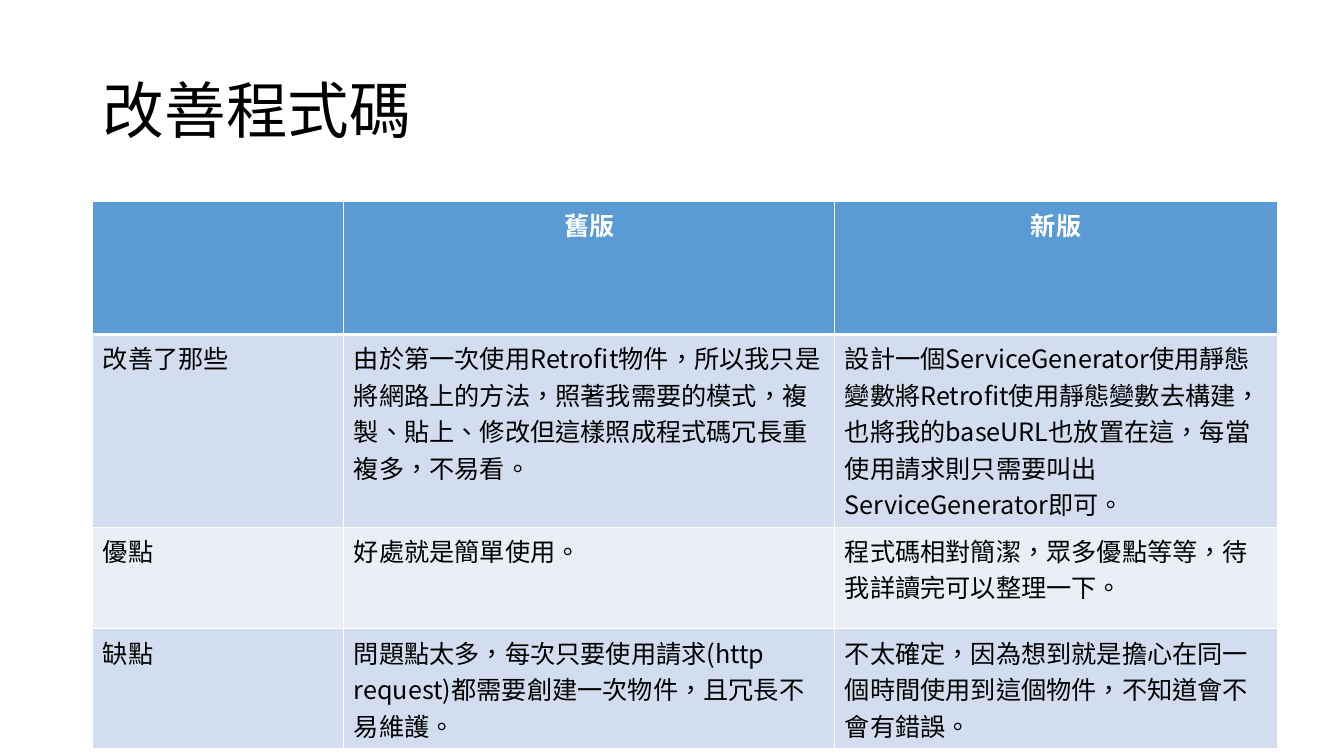
"""Build the slide that compares the old and new versions of the code."""
from dataclasses import dataclass

from lxml import etree
from pptx import Presentation
from pptx import util as u
from pptx.dml.color import RGBColor
from pptx.enum import text
from pptx.oxml.ns import qn

PX = 9144
FONT = "Noto Sans CJK SC"
COLORS = {
    "header": "5B9BD5",
    "band": "D2DEEF",
    "light": "EAEFF7",
    "white": "FFFFFF",
    "black": "000000",
}
COLUMN_WIDTHS = (249, 487, 439)


@dataclass(frozen=True)
class Row:
    """One row of the comparison table."""

    height: int
    fill: str
    entries: tuple[str, str, str]
    header: bool = False
    top: int = 1
    bottom: int = 1


ROWS = (
    Row(132, "header", ("", "舊版", "新版"), header=True, bottom=3),
    Row(160, "band", (
        "改善了那些",
        "由於第一次使用Retrofit物件，所以我只是將網路上的方法，照著我需要的模式，"
        "複製、貼上、修改但這樣照成程式碼冗長重複多，不易看。",
        "設計一個ServiceGenerator使用靜態變數將Retrofit使用靜態變數去構建，"
        "也將我的baseURL也放置在這，每當使用請求則只需要叫出ServiceGenerator即可。",
    ), top=3),
    Row(101, "light", (
        "優點",
        "好處就是簡單使用。",
        "程式碼相對簡潔，眾多優點等等，待我詳讀完可以整理一下。",
    )),
    Row(91, "band", (
        "缺點",
        "問題點太多，每次只要使用請求(http request)都需要創建一次物件，且冗長不易維護。",
        "不太確定，因為想到就是擔心在同一個時間使用到這個物件，不知道會不會有錯誤。",
    )),
)


def px(length: int) -> u.Emu:
    """Turn px into EMU."""
    return u.Emu(length * PX)


def color(name: str) -> RGBColor:
    """Look up a colour by name."""
    return RGBColor.from_string(COLORS[name])


def format_text(paragraph, size: int, ink: str, bold: bool = False) -> None:
    """Format every run of a paragraph, East Asian font included."""
    for run in paragraph.runs:
        run.font.name = FONT
        run.font.size = u.Pt(size)
        run.font.bold = bold
        run.font.color.rgb = color(ink)
        properties = run.font._element
        properties.set("lang", "zh-TW")
        properties.set("altLang", "en-US")
        east_asian = etree.Element(qn("a:ea"), typeface=FONT)
        properties.find(qn("a:latin")).addnext(east_asian)


def draw_borders(cell, top: int, bottom: int) -> None:
    """Give a cell white borders, with widths in points."""
    properties = cell._tc.get_or_add_tcPr()
    widths = {"lnL": 1, "lnR": 1, "lnT": top, "lnB": bottom}
    for index, (side, width) in enumerate(widths.items()):
        line = etree.Element(qn(f"a:{side}"), w=str(u.Pt(width)))
        fill = etree.SubElement(line, qn("a:solidFill"))
        etree.SubElement(fill, qn("a:srgbClr"), val=COLORS["white"])
        properties.insert(index, line)


def add_title(slide) -> None:
    """Place and format the title."""
    title = slide.shapes.title
    title.left, title.top, title.width, title.height = map(px, (92, 40, 1150, 145))
    frame = title.text_frame
    frame.text = "改善程式碼"
    frame.auto_size = text.MSO_AUTO_SIZE.NONE
    frame.vertical_anchor = text.MSO_ANCHOR.MIDDLE
    heading = frame.paragraphs[0]
    heading.alignment = text.PP_ALIGN.LEFT
    heading.line_spacing = 0.9
    format_text(heading, 44, "black")


def fill_cell(cell, row: Row, entry: str) -> None:
    """Write one table entry and style its cell."""
    cell.fill.solid()
    cell.fill.fore_color.rgb = color(row.fill)
    draw_borders(cell, row.top, row.bottom)
    cell.text_frame.text = entry
    paragraph = cell.text_frame.paragraphs[0]
    paragraph.alignment = text.PP_ALIGN.CENTER if row.header else text.PP_ALIGN.LEFT
    format_text(paragraph, 18, "white" if row.header else "black", row.header)


def add_comparison(slide) -> None:
    """Add the table of old and new versions."""
    height = sum(row.height for row in ROWS)
    comparison = slide.shapes.add_table(
        len(ROWS), len(COLUMN_WIDTHS),
        px(92), px(200), px(sum(COLUMN_WIDTHS)), px(height),
    ).table
    comparison.horz_banding = False
    for column, width in zip(comparison.columns, COLUMN_WIDTHS):
        column.width = px(width)
    for table_row, row in zip(comparison.rows, ROWS):
        table_row.height = px(row.height)
        for cell, entry in zip(table_row.cells, row.entries):
            fill_cell(cell, row, entry)


def main() -> None:
    """Build and save the presentation."""
    presentation = Presentation()
    presentation.slide_width, presentation.slide_height = px(1333), px(750)
    slide = presentation.slides.add_slide(presentation.slide_layouts[5])
    add_title(slide)
    add_comparison(slide)
    presentation.save("out.pptx")


if __name__ == "__main__":
    main()
